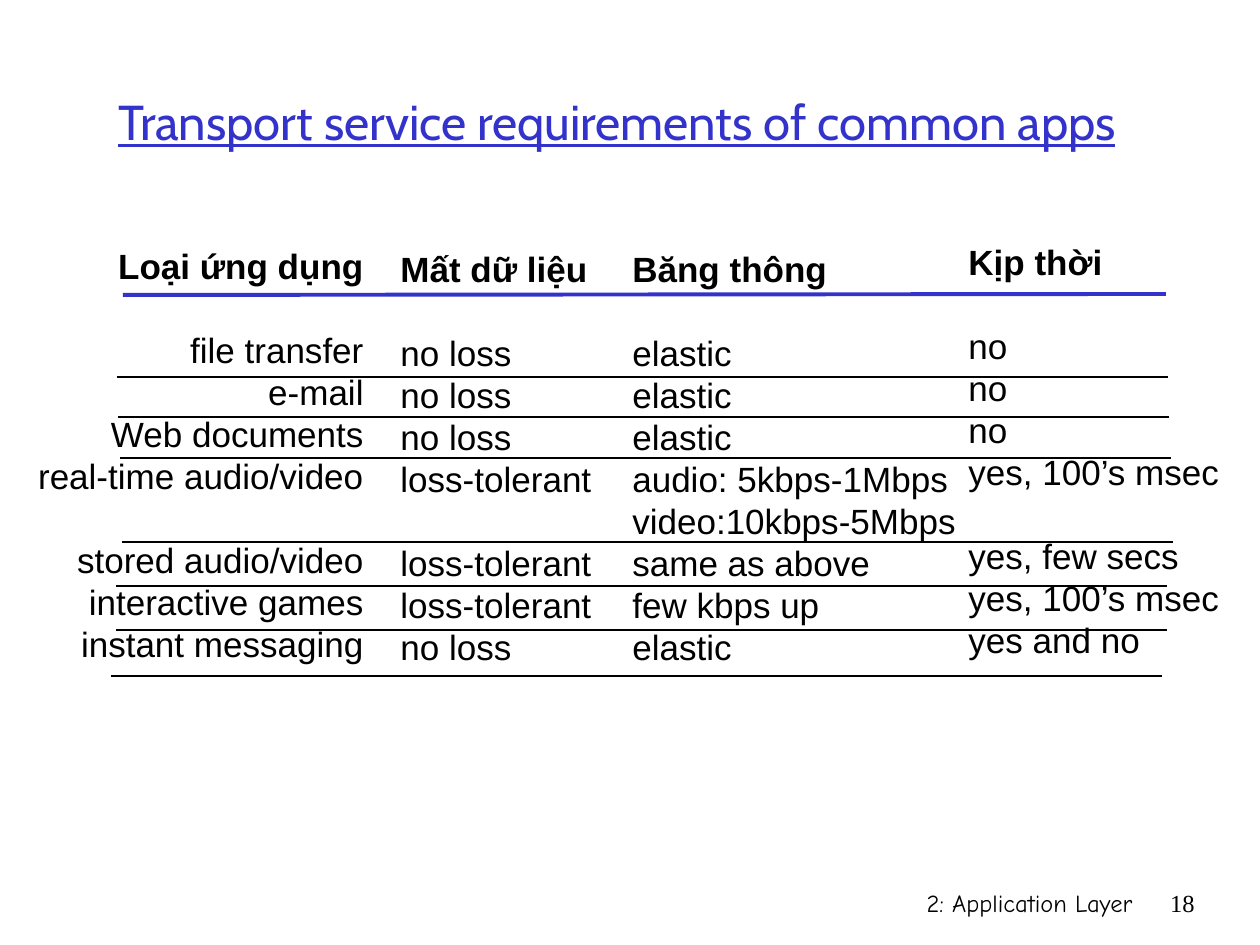
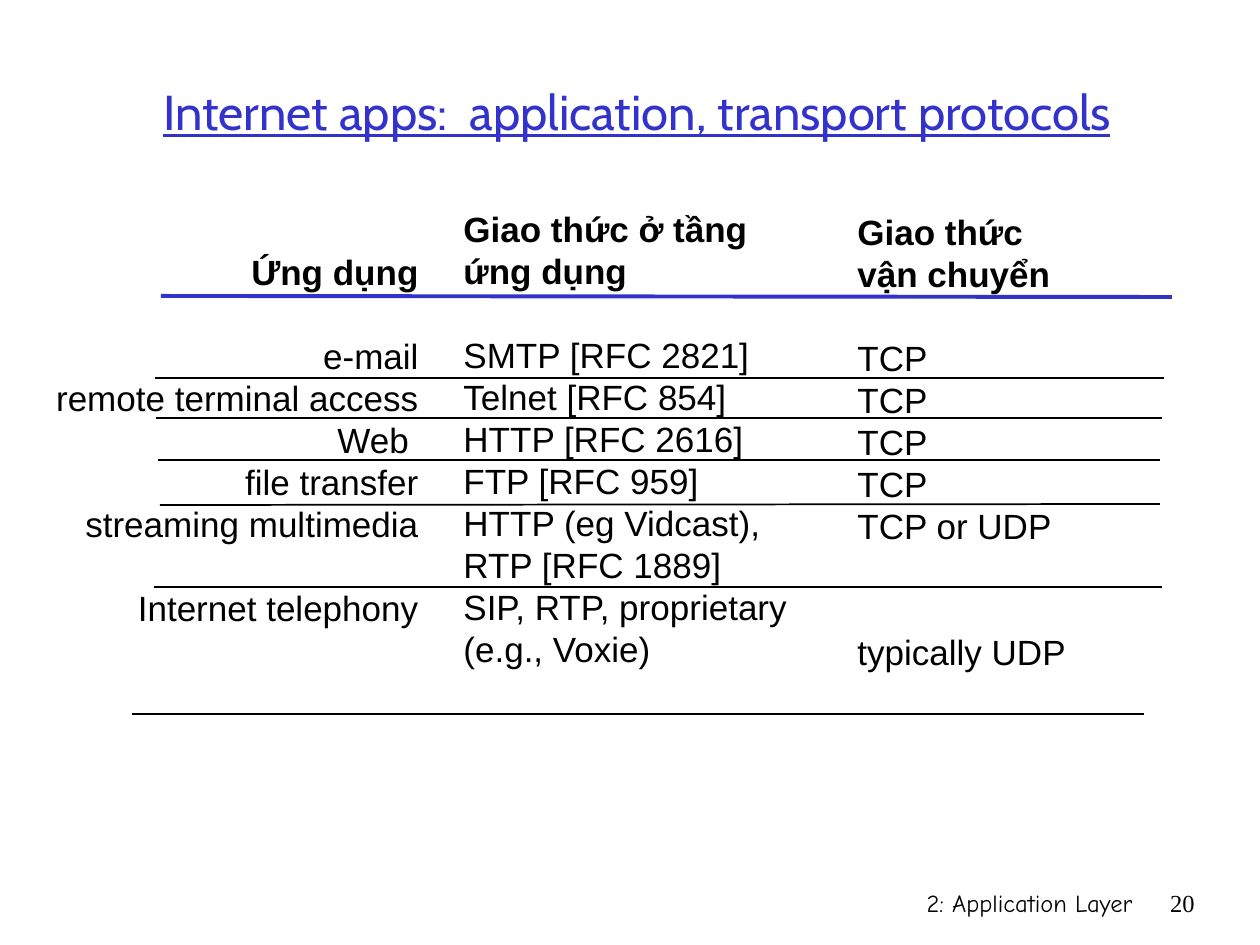
"""Builds two slides on application requirements and transport protocols."""
from lxml import etree
from pptx import Presentation, util as u
from pptx.dml.color import RGBColor
from pptx.enum import shapes, text
from pptx.oxml import ns

PX = 914400 / 126
COLORS = {"accent": "3333CC", "ink": "000000"}
LINE_PT = 24
LEFT, RIGHT, CENTER = text.PP_ALIGN.LEFT, text.PP_ALIGN.RIGHT, text.PP_ALIGN.CENTER

REQUIREMENTS = {
    "title": "Transport service requirements of common apps",
    "title_box": (52, 42, 1130, 158),
    "number": "18",
    "columns": [
        ((16, 238, 360, 433), RIGHT,
         ["Loại ứng dụng", None, "file transfer", "e-mail", "Web documents",
          "real-time audio/video", None, "stored audio/video",
          "interactive games", "instant messaging"]),
        ((388, 241, 230, 433), LEFT,
         ["Mất dữ liệu", None, "no loss", "no loss", "no loss", "loss-tolerant",
          None, "loss-tolerant", "loss-tolerant", "no loss"]),
        ((620, 241, 355, 433), LEFT,
         ["Băng thông", None, "elastic", "elastic", "elastic",
          "audio: 5kbps-1Mbps", "video:10kbps-5Mbps", "same as above",
          "few kbps up", "elastic"]),
        ((956, 234, 285, 433), LEFT,
         ["Kịp thời", None, "no", "no", "no", "yes, 100’s msec", None,
          "yes, few secs", "yes, 100’s msec", "yes and no"]),
    ],
    "header_rule": (123, 295, 1166, 294),
    "row_rules": [(x, y, x + 1051, y) for x, y in
                  [(117, 377), (118, 417), (120, 458), (122, 542),
                   (116, 586), (116, 630), (111, 676)]],
}

PROTOCOLS = {
    "title": "Internet apps:  application, transport protocols",
    "title_box": (34, 32, 1206, 158),
    "number": "20",
    "columns": [
        ((31, 244, 400, 433), RIGHT,
         ["Ứng dụng", None, "e-mail", "remote terminal access", "Web ",
          "file transfer", "streaming multimedia", None, "Internet telephony"]),
        ((451, 201, 370, 475), LEFT,
         ["Giao thức ở tầng \vứng dụng", None, "SMTP [RFC 2821]",
          "Telnet [RFC 854]", "HTTP [RFC 2616]", "FTP [RFC 959]",
          "HTTP (eg Vidcast), \vRTP [RFC 1889]", "SIP, RTP, proprietary",
          "(e.g., Voxie)"]),
        ((845, 204, 362, 475), LEFT,
         ["Giao thức", "vận chuyển", None, "TCP", "TCP", "TCP", "TCP",
          "TCP or UDP", None, None, "typically UDP"]),
    ],
    "header_rule": (161, 296, 1172, 297),
    "row_rules": [(155, 378, 1164, 378), (156, 418, 1162, 418),
                  (158, 460, 1160, 460), (160, 505, 1160, 504),
                  (154, 587, 1162, 587), (132, 714, 1144, 714)],
}


def emu(*lengths):
    """Turn px lengths into EMU."""
    return [round(length * PX) for length in lengths]


def style(paragraph, font_name, size, color="ink", align=LEFT):
    """Set the look of a whole paragraph."""
    paragraph.alignment = align
    font = paragraph.font
    font.name, font.size = font_name, u.Pt(size)
    font.color.rgb = RGBColor.from_string(COLORS[color])


def add_title(slide, wording, box):
    """Place and format the underlined title."""
    title = slide.shapes.title
    title.left, title.top, title.width, title.height = emu(*box)
    frame = title.text_frame
    frame.text = wording
    frame.auto_size = text.MSO_AUTO_SIZE.NONE
    frame.vertical_anchor = text.MSO_ANCHOR.MIDDLE
    style(frame.paragraphs[0], "Cabin", 28, "accent", CENTER)
    frame.paragraphs[0].font.underline = True


def add_footer(slide, wording, box, font_name):
    """Add one right-aligned footer text."""
    frame = slide.shapes.add_textbox(*emu(*box)).text_frame
    frame.word_wrap = True
    frame.text = wording
    style(frame.paragraphs[0], font_name, 14, align=RIGHT)


def add_column(slide, box, align, entries):
    """Add a column whose bold heading ends at the first skipped line."""
    frame = slide.shapes.add_textbox(*emu(*box)).text_frame
    frame.word_wrap = True
    heading_end = entries.index(None)
    skipped = 0
    for row, entry in enumerate(entries):
        if entry is None:
            skipped += 1
            continue
        paragraph = frame.add_paragraph() if row else frame.paragraphs[0]
        paragraph.text = entry
        style(paragraph, "Arial", 20, align=align)
        paragraph.font.bold = row < heading_end
        paragraph.line_spacing = u.Pt(LINE_PT)
        if skipped:
            paragraph.space_before = u.Pt(LINE_PT * skipped)
        skipped = 0


def add_rule(slide, ends, color="ink", width=1):
    """Draw a straight rule between two points."""
    rule = slide.shapes.add_connector(shapes.MSO_CONNECTOR.STRAIGHT, *emu(*ends))
    rule.line.color.rgb = RGBColor.from_string(COLORS[color])
    rule.line.width = u.Pt(width)
    etree.SubElement(rule._element.spPr, ns.qn("a:effectLst"))


def add_comparison(deck, content):
    """Build one slide with title, columns, rules and footers."""
    slide = deck.slides.add_slide(deck.slide_layouts[5])
    add_footer(slide, "2: Application Layer", (746, 882, 399, 63), "Comic Neue")
    add_footer(slide, content["number"], (1144, 882, 63, 63), "Times New Roman")
    add_title(slide, content["title"], content["title_box"])
    for column in content["columns"]:
        add_column(slide, *column)
    add_rule(slide, content["header_rule"], "accent", 2.25)
    for ends in content["row_rules"]:
        add_rule(slide, ends)


def main():
    """Build and save the deck."""
    deck = Presentation()
    deck.slide_width, deck.slide_height = emu(1260, 945)
    for content in (REQUIREMENTS, PROTOCOLS):
        add_comparison(deck, content)
    deck.save("out.pptx")


if __name__ == "__main__":
    main()
